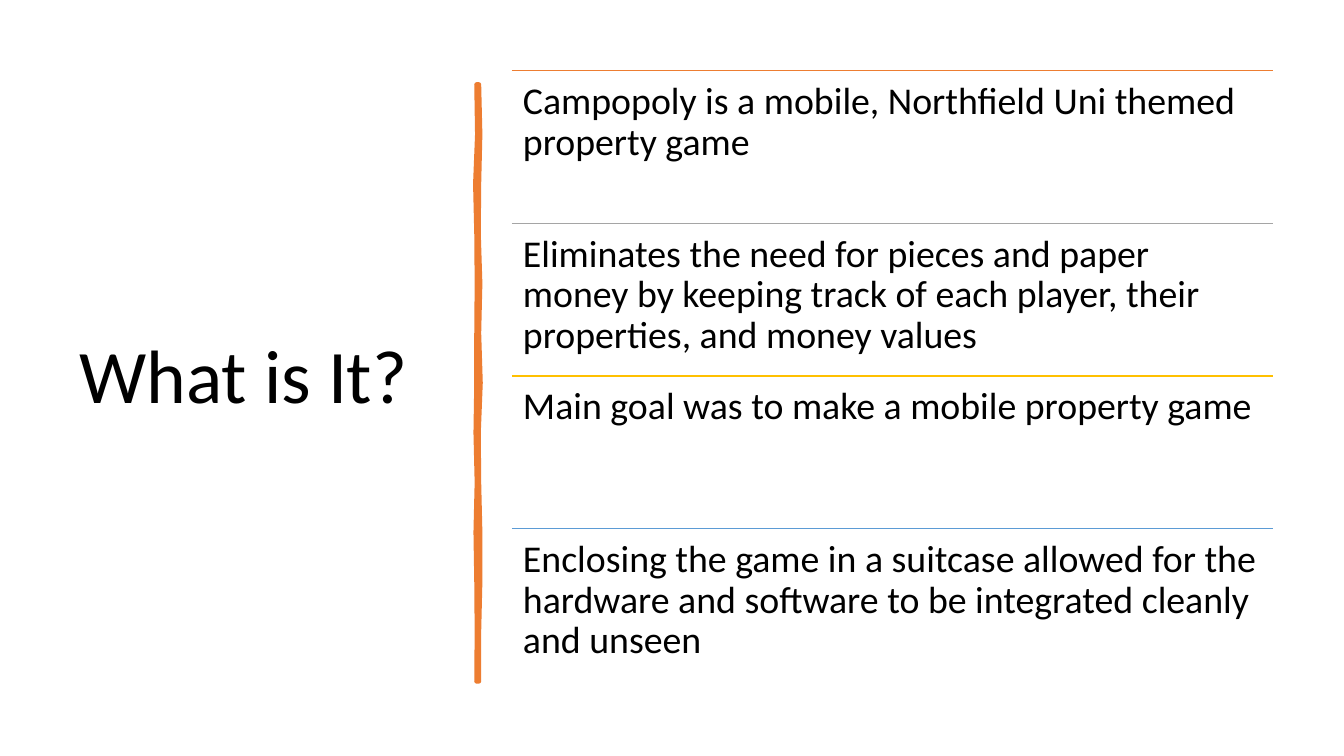
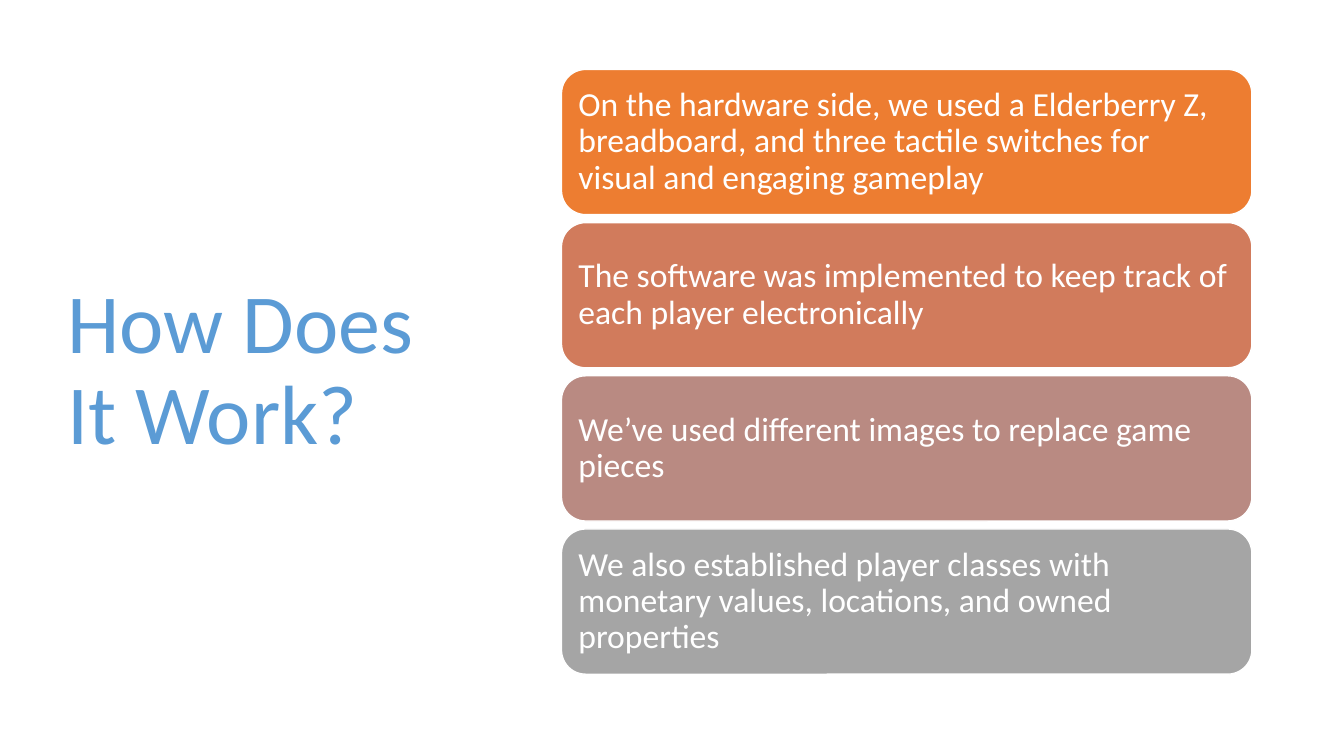
from dataclasses import dataclass

from lxml.etree import SubElement
from pptx import Presentation
from pptx.dml.color import RGBColor
from pptx.enum.shapes import MSO_CONNECTOR, MSO_SHAPE
from pptx.enum.text import MSO_ANCHOR, PP_ALIGN
from pptx.oxml.ns import qn
from pptx.util import Cm, Pt


@dataclass(frozen=True)
class Theme:
    """Colours, font and type sizes of the deck."""
    font: str = "Calibri"
    black: str = "000000"
    white: str = "FFFFFF"
    orange: str = "ED7D31"
    clay: str = "D17B5C"
    rose: str = "B98A82"
    gray: str = "A5A5A5"
    gold: str = "FFC000"
    blue: str = "5B9BD5"
    head: int = 54
    big: int = 60
    row: int = 27
    card: int = 24
    rule: float = 1
    brush: float = 3.25
    lead: float = 0.9


@dataclass(frozen=True)
class Box:
    """A region in centimetres."""
    left: float
    top: float
    width: float
    height: float

    def place(self):
        """Return the region as four lengths."""
        return Cm(self.left), Cm(self.top), Cm(self.width), Cm(self.height)

    def stack(self, count, gap=0):
        """Split the region into equal rows with a gap between them."""
        high = (self.height - gap * (count - 1)) / count
        return [Box(self.left, self.top + i * (high + gap), self.width, high)
                for i in range(count)]


THEME = Theme()


def tint(code):
    """Turn a hex code into a colour."""
    return RGBColor.from_string(code)


def write(shape, text, size, color, anchor=MSO_ANCHOR.MIDDLE, inset=None):
    """Set and format the one paragraph of a shape."""
    frame = shape.text_frame
    frame.text = text
    frame.word_wrap = True
    frame.vertical_anchor = anchor
    if inset is not None:
        frame.margin_left = frame.margin_right = Cm(inset)
        frame.margin_top = frame.margin_bottom = Cm(inset)
    para = frame.paragraphs[0]
    para.alignment = PP_ALIGN.LEFT
    para.line_spacing = THEME.lead
    font = para.runs[0].font
    font.name, font.size = THEME.font, Pt(size)
    font.color.rgb = tint(color)


def title(slide, box, text, size, color):
    """Place a title, centred in height, in its box."""
    write(slide.shapes.add_textbox(*box.place()), text, size, color)


def brush(slide, box, color):
    """Draw an uneven upright stroke that fills the box."""
    right = [0, 0.03, 0, -0.01, 0.03, 0, 0.04, -0.01, 0, 0.03, 0.03, 0, 0]
    left = [0, 0.02, -0.03, 0, 0.01, 0, 0, -0.02, 0.01, -0.02, 0, 0.01, 0]
    step = box.height / (len(right) - 1)
    down = [(box.left + box.width + x, box.top + i * step)
            for i, x in enumerate(right)]
    back = [(box.left + x, box.top + i * step) for i, x in enumerate(left)]
    first, *rest = [(Cm(x), Cm(y)) for x, y in down + back[::-1]]
    path = slide.shapes.build_freeform(*first)
    path.add_line_segments(rest, close=True)
    shape = path.convert_to_shape()
    shape.shadow.inherit = False
    shape.fill.solid()
    shape.fill.fore_color.rgb = tint(color)
    shape.line.color.rgb = tint(color)
    shape.line.width = Pt(THEME.brush)
    SubElement(shape.line._get_or_add_ln(), qn("a:round"))


def rule(slide, box, color):
    """Draw a thin line along the top of the box."""
    x, y, width, _ = box.place()
    line = slide.shapes.add_connector(MSO_CONNECTOR.STRAIGHT, x, y, x + width, y)
    line.line.color.rgb = tint(color)
    line.line.width = Pt(THEME.rule)
    SubElement(line._element.spPr, qn("a:effectLst"))


def rows(slide, box, items):
    """List the items in equal rows, each under a coloured rule."""
    for cell, (text, color) in zip(box.stack(len(items)), items):
        rule(slide, cell, color)
        note = slide.shapes.add_textbox(*cell.place())
        write(note, text, THEME.row, THEME.black, MSO_ANCHOR.TOP, 0.28)


def cards(slide, box, items):
    """List the items on equal rounded cards."""
    for cell, (text, color) in zip(box.stack(len(items), 0.2), items):
        card = slide.shapes.add_shape(MSO_SHAPE.ROUNDED_RECTANGLE, *cell.place())
        card.shadow.inherit = False
        card.fill.solid()
        card.fill.fore_color.rgb = tint(color)
        card.line.color.rgb = tint(THEME.white)
        card.line.width = Pt(THEME.rule)
        write(card, text, THEME.card, THEME.white, inset=0.25)


def about(slide):
    """Build the slide that says what the game is."""
    title(slide, Box(1.75, 1.78, 9.5, 15.52), "What is It?",
          THEME.head, THEME.black)
    brush(slide, Box(12.01, 2.13, 0.06, 15.04), THEME.orange)
    rows(slide, Box(12.9, 1.78, 19.18, 15.38), [
        ("Campopoly is a mobile, Northfield Uni themed property game",
         THEME.orange),
        ("Eliminates the need for pieces and paper money by keeping track of "
         "each player, their properties, and money values", THEME.gray),
        ("Main goal was to make a mobile property game", THEME.gold),
        ("Enclosing the game in a suitcase allowed for the hardware and "
         "software to be integrated cleanly and unseen", THEME.blue),
    ])


def method(slide):
    """Build the slide that says how the game works."""
    title(slide, Box(1.45, 1.73, 10.57, 15.29), "How Does It Work?",
          THEME.big, THEME.blue)
    cards(slide, Box(14.15, 1.75, 17.4, 15.24), [
        ("On the hardware side, we used a Elderberry Z, breadboard, and three "
         "tactile switches for visual and engaging gameplay", THEME.orange),
        ("The software was implemented to keep track of each player "
         "electronically", THEME.clay),
        ("We’ve used different images to replace game pieces", THEME.rose),
        ("We also established player classes with monetary values, "
         "locations, and owned properties", THEME.gray),
    ])


def main():
    """Build and save the deck."""
    deck = Presentation()
    deck.slide_width, deck.slide_height = Cm(33.87), Cm(19.05)
    for build in (about, method):
        build(deck.slides.add_slide(deck.slide_layouts[6]))
    deck.save("out.pptx")


main()
